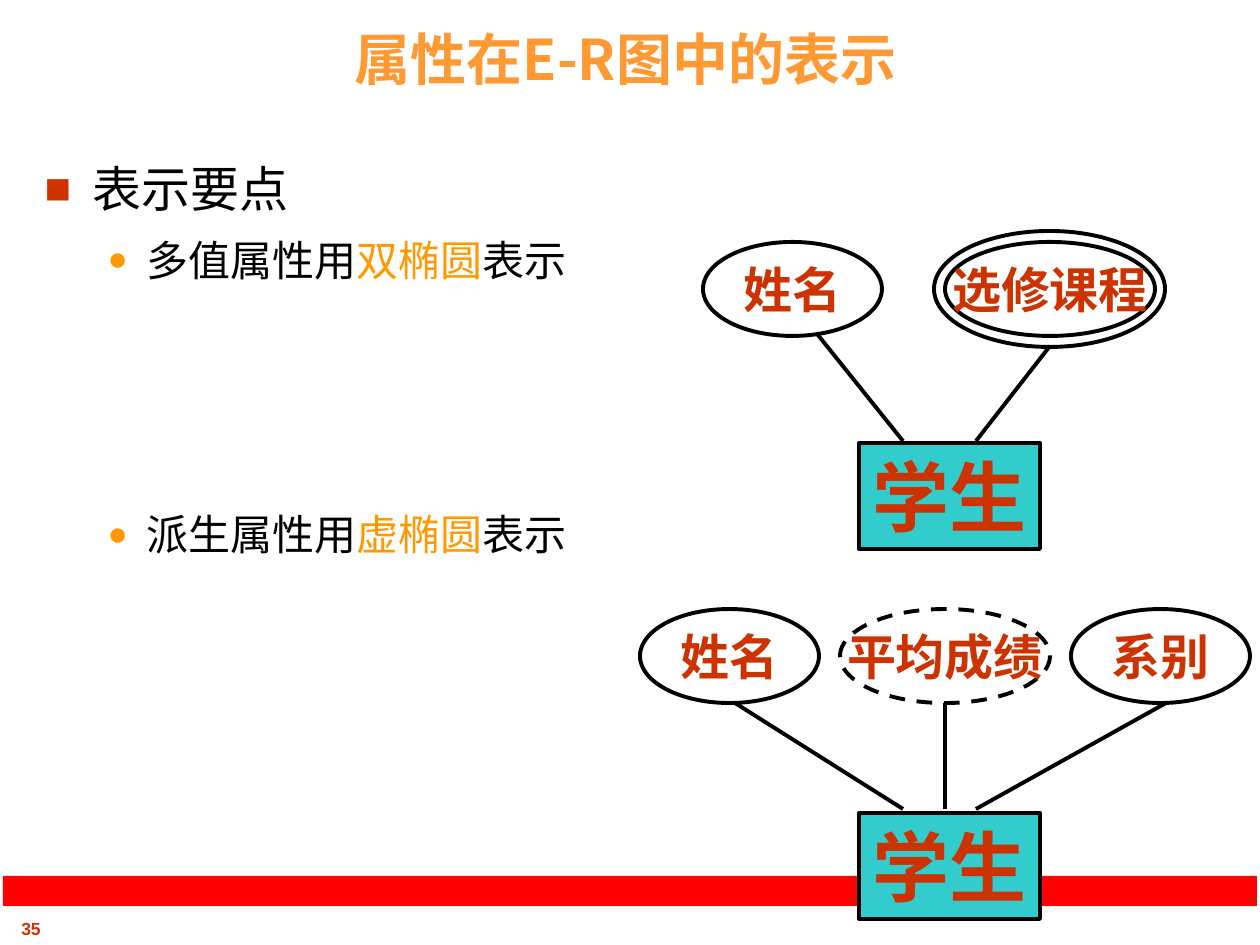
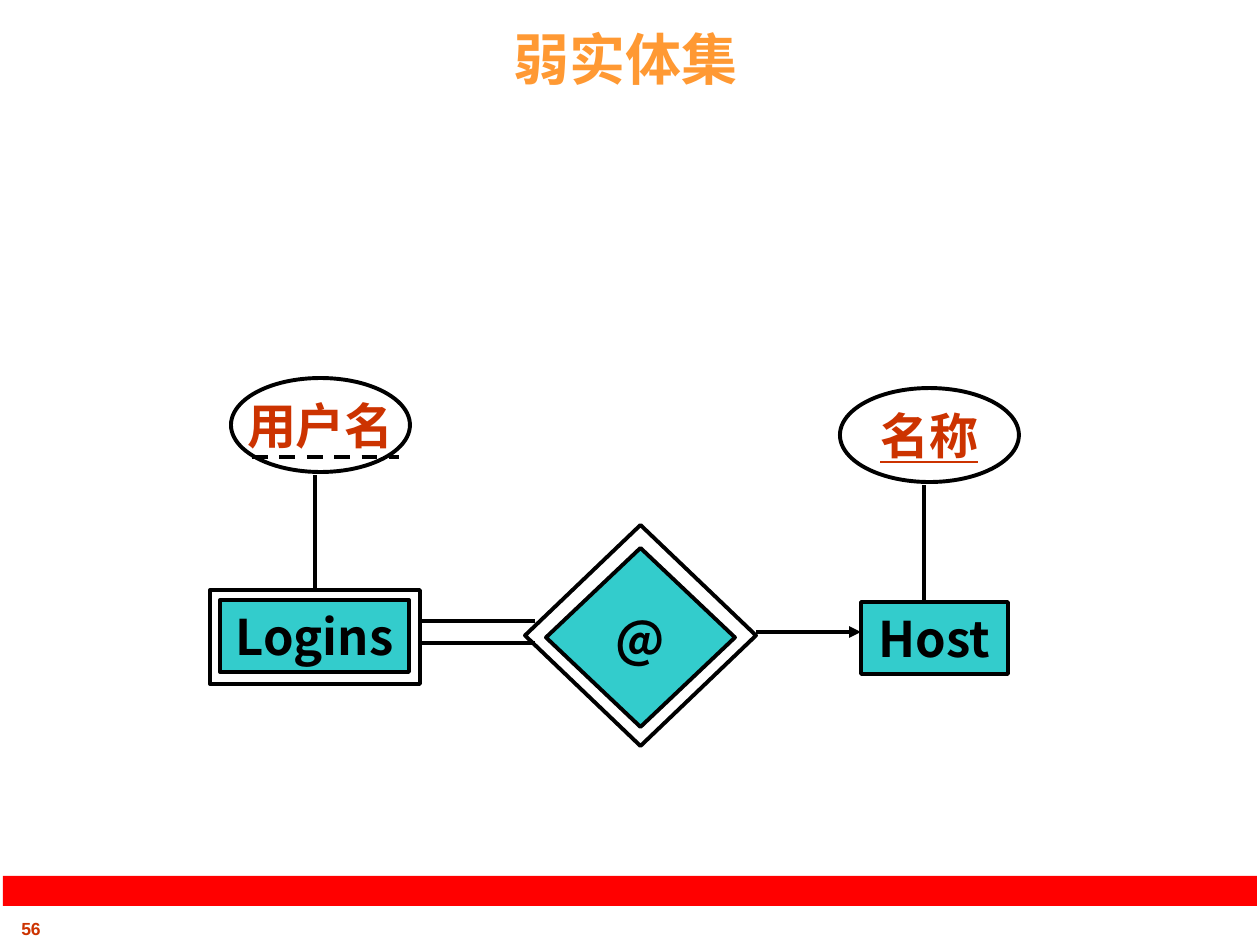
from dataclasses import dataclass
from typing import Optional

from lxml import etree
from pptx import Presentation
from pptx.dml.color import RGBColor
from pptx.enum.dml import MSO_LINE
from pptx.enum.shapes import MSO_CONNECTOR, MSO_SHAPE
from pptx.enum.text import MSO_ANCHOR, MSO_AUTO_SIZE, PP_ALIGN
from pptx.oxml.ns import qn
from pptx.util import Emu, Pt

PX_PER_INCH = 126
EMU_PER_PX = 914400 / PX_PER_INCH

RECTANGLE = MSO_SHAPE.RECTANGLE
ELLIPSE = MSO_SHAPE.OVAL
DIAMOND = MSO_SHAPE.DIAMOND
STRAIGHT = MSO_CONNECTOR.STRAIGHT
DASH = MSO_LINE.DASH
CENTER = PP_ALIGN.CENTER
MIDDLE = MSO_ANCHOR.MIDDLE
FIXED_SIZE = MSO_AUTO_SIZE.NONE

BLACK = "000000"
WHITE = "FFFFFF"
RED = "FF0000"
BRICK = "CC3300"
TEAL = "33CCCC"
AMBER = "FF9900"
TITLE_ORANGE = "FF9933"

ARIAL = "Arial"
TIMES = "Times New Roman"
NOTO_SC = "Noto Sans CJK SC"
NOTO_JP = "Noto Sans CJK JP"

LINE_WIDTH = 2.25
TITLE_LAYOUT_WITH_BODY, TITLE_ONLY_LAYOUT = 1, 5
ATTRIBUTE_SIZE = (179, 94)
WIDE_ATTRIBUTE_SIZE = (210, 94)
ENTITY_SIZE = (181, 106)


@dataclass(frozen=True)
class Node:
    """A symbol of an E-R diagram; without a fill it is an outer outline."""
    kind: int
    left: int
    top: int
    size: tuple[int, int]
    text: str = ""
    fill: Optional[str] = WHITE
    color: str = BRICK
    font: str = TIMES
    points: int = 28
    underline: bool = False
    dashed: bool = False


@dataclass(frozen=True)
class Link:
    start: tuple[int, int]
    end: tuple[int, int]
    dashed: bool = False
    arrow: bool = False


@dataclass(frozen=True)
class Bullet:
    """Paragraph layout of one list level; heights are in points."""
    level: int
    sign: str
    color: str
    percent: int
    margin: int
    hanging: int
    points: int
    line_height: float


TOPIC = Bullet(0, "■", BRICK, 90, 48, 48, 28, 36.6)
POINT = Bullet(1, "●", AMBER, 80, 102, 39, 24, 27.9)

BODY_ITEMS = [
    (TOPIC, 0, [("表示要点", BLACK)]),
    (POINT, 10.5, [("多值属性用", BLACK), ("双椭圆", AMBER), ("表示", BLACK)]),
    (POINT, 129, [("派生属性用", BLACK), ("虚椭圆", AMBER), ("表示", BLACK)]),
]


def student(top: int) -> Node:
    return Node(RECTANGLE, 859, top, ENTITY_SIZE, "学生", TEAL, points=44)


MULTIVALUED_NODES = [
    student(443),
    Node(ELLIPSE, 703, 242, ATTRIBUTE_SIZE, "姓名"),
    Node(ELLIPSE, 945, 242, WIDE_ATTRIBUTE_SIZE, "选修课程"),
    Node(ELLIPSE, 934, 231, (231, 116), fill=None),
]
MULTIVALUED_LINKS = [
    Link((1050, 346), (976, 441)),
    Link((903, 441), (818, 335)),
]
DERIVED_NODES = [
    student(813),
    Node(ELLIPSE, 640, 609, ATTRIBUTE_SIZE, "姓名"),
    Node(ELLIPSE, 840, 609, WIDE_ATTRIBUTE_SIZE, "平均成绩", dashed=True),
    Node(ELLIPSE, 1071, 609, ATTRIBUTE_SIZE, "系别"),
]
DERIVED_LINKS = [
    Link((945, 809), (945, 703)),
    Link((903, 809), (735, 703)),
    Link((976, 809), (1166, 703)),
]
WEAK_ENTITY_NODES = [
    Node(RECTANGLE, 220, 600, (189, 72), "Logins", TEAL, BLACK, NOTO_JP),
    Node(RECTANGLE, 861, 602, (147, 72), "Host", TEAL, BLACK, NOTO_JP),
    Node(DIAMOND, 546, 548, (189, 179), "@", TEAL, BLACK, NOTO_JP),
    Node(DIAMOND, 525, 525, (231, 221), fill=None),
    Node(ELLIPSE, 231, 378, ATTRIBUTE_SIZE, "用户名", font=NOTO_JP),
    Node(RECTANGLE, 210, 590, (210, 94), fill=None),
    Node(ELLIPSE, 840, 388, ATTRIBUTE_SIZE, "名称", font=NOTO_JP, underline=True),
]
WEAK_ENTITY_LINKS = [
    Link((420, 621), (535, 621)),
    Link((420, 643), (535, 643)),
    Link((756, 632), (861, 632), arrow=True),
    Link((315, 590), (315, 475)),
    Link((924, 601), (924, 485)),
    Link((252, 457), (399, 457), dashed=True),
]


def px(length: int) -> Emu:
    return Emu(round(length * EMU_PER_PX))


def rgb(color: str) -> RGBColor:
    return RGBColor.from_string(color)


def add_text(paragraph, text: str, *, font: str, points: float, color: str,
             bold: bool = False, underline: bool = False) -> None:
    run = paragraph.add_run()
    run.text = text
    run.font.name = font
    run.font.size = Pt(points)
    run.font.bold = bold
    run.font.underline = underline
    run.font.color.rgb = rgb(color)
    east_asian = NOTO_JP if font == NOTO_JP else NOTO_SC
    latin = run.font._element.find(qn("a:latin"))
    latin.addnext(etree.Element(qn("a:ea"), typeface=east_asian))


def place(shape, left: int, top: int, width: int, height: int) -> None:
    shape.left, shape.top = px(left), px(top)
    shape.width, shape.height = px(width), px(height)


def centered_paragraph(shape, wrap: bool = False):
    """Centre the shape's text both ways and return its first paragraph."""
    frame = shape.text_frame
    frame.auto_size = FIXED_SIZE
    frame.word_wrap = wrap
    frame.vertical_anchor = MIDDLE
    paragraph = frame.paragraphs[0]
    paragraph.alignment = CENTER
    return paragraph


def style_line(line, dashed: bool) -> None:
    line.color.rgb = rgb(BLACK)
    line.width = Pt(LINE_WIDTH)
    if dashed:
        line.dash_style = DASH


def draw_node(slide, node: Node) -> None:
    shape = slide.shapes.add_shape(node.kind, px(node.left), px(node.top),
                                   *map(px, node.size))
    shape.shadow.inherit = False
    style_line(shape.line, node.dashed)
    if node.fill is None:
        shape.fill.background()
        return
    shape.fill.solid()
    shape.fill.fore_color.rgb = rgb(node.fill)
    add_text(centered_paragraph(shape), node.text, font=node.font,
             points=node.points, color=node.color, bold=True,
             underline=node.underline)


def draw_link(slide, link: Link) -> None:
    connector = slide.shapes.add_connector(
        STRAIGHT, *map(px, link.start), *map(px, link.end))
    style_line(connector.line, link.dashed)
    properties = connector._element.spPr
    if link.arrow:
        etree.SubElement(properties.find(qn("a:ln")), qn("a:tailEnd"),
                         type="triangle")
    etree.SubElement(properties, qn("a:effectLst"))


def draw_diagram(slide, nodes: list[Node], links: list[Link]) -> None:
    for node in nodes:
        draw_node(slide, node)
    for link in links:
        draw_link(slide, link)


def apply_bullet(paragraph, bullet: Bullet) -> None:
    paragraph.level = bullet.level
    properties = paragraph._p.get_or_add_pPr()
    properties.set("marL", str(px(bullet.margin)))
    properties.set("indent", str(-px(bullet.hanging)))
    color = etree.SubElement(properties, qn("a:buClr"))
    etree.SubElement(color, qn("a:srgbClr"), val=bullet.color)
    etree.SubElement(properties, qn("a:buSzPct"), val=str(bullet.percent * 1000))
    etree.SubElement(properties, qn("a:buFont"), typeface=ARIAL)
    etree.SubElement(properties, qn("a:buChar"), char=bullet.sign)


def fill_body(body) -> None:
    place(body, 32, 147, 1187, 725)
    frame = body.text_frame
    frame.auto_size = FIXED_SIZE
    for index, (bullet, space_before, runs) in enumerate(BODY_ITEMS):
        paragraph = frame.add_paragraph() if index else frame.paragraphs[0]
        apply_bullet(paragraph, bullet)
        paragraph.space_before = Pt(space_before)
        paragraph.line_spacing = Pt(bullet.line_height)
        for text, color in runs:
            add_text(paragraph, text, font=ARIAL, points=bullet.points, color=color)


def start_slide(presentation, layout: int, title: str, title_font: str, number: str):
    """Add a slide with the shared title style, red band and page number."""
    slide = presentation.slides.add_slide(presentation.slide_layouts[layout])
    place(slide.shapes.title, 32, 16, 1187, 84)
    add_text(centered_paragraph(slide.shapes.title, wrap=True), title,
             font=title_font, points=32, color=TITLE_ORANGE, bold=True)

    number_box = slide.shapes.add_textbox(px(0), px(912), px(62), px(33))
    add_text(centered_paragraph(number_box), number,
             font=ARIAL, points=10, color=BRICK, bold=True)

    band = slide.shapes.add_shape(RECTANGLE, px(3), px(876), px(1254), px(30))
    band.shadow.inherit = False
    band.fill.solid()
    band.fill.fore_color.rgb = rgb(RED)
    band.line.fill.background()
    return slide


def main() -> None:
    presentation = Presentation()
    presentation.slide_width, presentation.slide_height = px(1260), px(945)

    attributes = start_slide(presentation, TITLE_LAYOUT_WITH_BODY,
                             "属性在E-R图中的表示", NOTO_SC, "35")
    fill_body(attributes.placeholders[1])
    draw_diagram(attributes, MULTIVALUED_NODES, MULTIVALUED_LINKS)
    draw_diagram(attributes, DERIVED_NODES, DERIVED_LINKS)

    weak_entities = start_slide(presentation, TITLE_ONLY_LAYOUT,
                                "弱实体集", ARIAL, "56")
    draw_diagram(weak_entities, WEAK_ENTITY_NODES, WEAK_ENTITY_LINKS)

    presentation.save("out.pptx")


if __name__ == "__main__":
    main()
